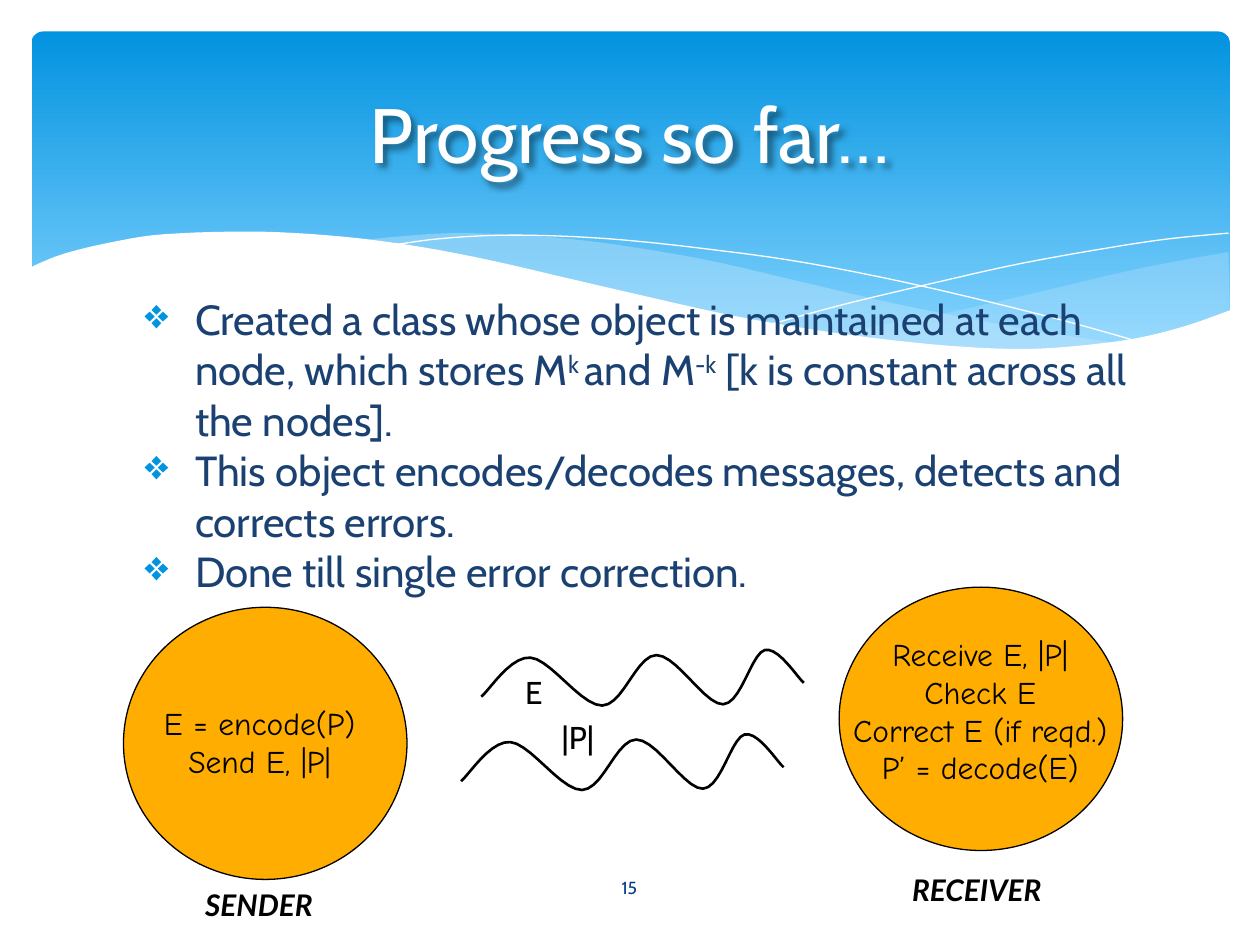
from dataclasses import dataclass

from lxml import etree
from pptx import Presentation
from pptx import util as u
from pptx.dml.color import RGBColor
from pptx.enum import shapes, text
from pptx.oxml import ns, parse_xml

PX = 9144  # EMU in one px, 100 px to the inch
STEPS = 10  # straight pieces between two curve points
LEFT, CENTER = text.PP_ALIGN.LEFT, text.PP_ALIGN.CENTER
TOP, MIDDLE = text.MSO_ANCHOR.TOP, text.MSO_ANCHOR.MIDDLE

TITLE = {"name": "Cabin", "size": u.Pt(44)}
BODY = {"name": "Cabin", "size": u.Pt(24)}
NUMBER = {"name": "Cabin", "size": u.Pt(10)}
SIGNAL = {"name": "Cabin", "size": u.Pt(18)}
STEP = {"name": "Comic Neue", "size": u.Pt(18)}
ROLE = {"name": "Lato", "size": u.Pt(17), "bold": True, "italic": True}

Point = tuple[float, float]
Box = tuple[int, int, int, int]


@dataclass
class Label:
    box: Box
    lines: list[str]
    font: dict
    color: str = "000000"
    align: text.PP_ALIGN = CENTER
    anchor: text.MSO_ANCHOR = TOP
    inset: int = 10


@dataclass
class Wave:
    """An outline of smooth edges; consecutive edges meet in a corner."""
    edges: list[list[Point]]
    fill: str = ""
    opacity: int = 100
    line: str = ""
    width: float = 0.75


WASHES = [
    Wave([[(975, 200), (935, 207), (891, 216), (832, 230), (753, 248), (661, 265)],
          [(661, 265), (705, 271), (757, 276), (803, 278), (854, 276), (897, 270),
           (935, 262), (976, 247)]], "C6E7FC", 29),
    Wave([[(893, 273), (837, 265), (775, 254), (706, 240), (629, 222), (569, 208),
           (514, 198), (465, 191), (420, 187), (361, 185), (313, 188), (286, 191)],
          [(286, 191), (342, 199), (404, 211), (449, 222), (530, 240), (618, 258),
           (695, 270), (761, 277), (818, 278), (857, 277), (893, 273)]], "C6E7FC", 40),
    Wave([[(309, 195), (344, 190), (387, 187), (433, 187), (489, 190), (556, 197),
           (636, 208), (727, 226), (831, 251), (907, 272)]], line="FFFFFF"),
    Wave([[(613, 257), (672, 241), (748, 223), (806, 210), (866, 199), (924, 190),
           (975, 185)]], line="FFFFFF"),
    Wave([[(977, 246), (940, 259), (899, 269), (850, 275), (809, 277), (761, 275),
           (708, 270), (648, 262), (579, 250), (503, 233), (447, 220), (391, 207),
           (340, 197), (292, 190), (250, 186), (211, 184), (177, 184), (146, 185),
           (119, 187), (95, 191), (67, 197), (46, 203), (29, 210), (23, 213)],
          [(23, 213), (23, 329)], [(23, 329), (977, 329)]], "FFFFFF"),
]

SIGNAL_CURVE = [(0, 37), (39, 6), (96, 44), (139, 4), (192, 43), (225, 0), (256, 26)]
SIGNAL_STARTS = [(382, 516), (366, 583)]

NODES: list[Box] = [(98, 482, 225, 216), (666, 466, 225, 209)]

LABELS = [
    Label((436, 684, 127, 40), ["15"], NUMBER, "073E87", anchor=MIDDLE, inset=5),
    Label((153, 694, 133, 49), ["SENDER"], ROLE, align=LEFT),
    Label((105, 549, 202, 81), ["E = encode(P)", "Send E, |P|"], STEP),
    Label((660, 494, 236, 141),
          ["Receive E, |P|", "Check E", "Correct E (if reqd.)", "P’ = decode(E)"], STEP),
    Label((436, 560, 66, 50), ["|P|"], SIGNAL, align=LEFT),
    Label((407, 524, 48, 50), ["E"], SIGNAL, align=LEFT),
    Label((714, 682, 147, 49), ["RECEIVER"], ROLE, align=LEFT),
]
HEADING = Label((50, 37, 900, 137), ["Progress so far…"], TITLE, "FFFFFF",
                anchor=MIDDLE, inset=5)

# Each bullet is split at "^"; every second piece is raised.
BULLETS = Label((95, 228, 810, 490), [
    "Created a class whose object is maintained at each node, which stores M"
    "^k ^and M^-k^ [k is constant across all the nodes].",
    "This object encodes/decodes messages, detects and corrects errors.",
    "Done till single error correction.",
], BODY, "1A4171", LEFT, inset=5)


def rgb(color: str) -> RGBColor:
    return RGBColor.from_string(color)


def emu(lengths) -> list[int]:
    return [round(n * PX) for n in lengths]


def add_sub(parent, tag: str, **attrs: str):
    return etree.SubElement(parent, ns.qn(tag), attrs)


def spline(pts: list[Point]) -> list[Point]:
    """Sample a Catmull-Rom curve through the points."""
    if len(pts) == 2:
        return pts
    padded = [pts[0], *pts, pts[-1]]
    out = [pts[0]]
    for a, b, c, d in zip(padded, padded[1:], padded[2:], padded[3:]):
        for t in (i / STEPS for i in range(1, STEPS + 1)):
            out.append(tuple(
                q + t / 2 * (r - p + t * (2 * p - 5 * q + 4 * r - s
                                          + t * (3 * (q - r) + s - p)))
                for p, q, r, s in zip(a, b, c, d)))
    return out


def paint(sp, fill: str, line: str, width: float) -> None:
    sp.shadow.inherit = False
    if fill:
        sp.fill.solid()
        sp.fill.fore_color.rgb = rgb(fill)
    else:
        sp.fill.background()
    if line:
        sp.line.color.rgb = rgb(line)
        sp.line.width = u.Pt(width)
    else:
        sp.line.fill.background()


def draw_wave(slide, wave: Wave) -> None:
    pts = [emu(pt) for edge in wave.edges for pt in spline(edge)]
    builder = slide.shapes.build_freeform(*pts[0], scale=1.0)
    builder.add_line_segments(pts[1:], close=bool(wave.fill))
    sp = builder.convert_to_shape()
    paint(sp, wave.fill, wave.line, wave.width)
    if wave.opacity < 100:
        color = sp.fill._xPr.find(ns.qn("a:solidFill"))[0]
        add_sub(color, "a:alpha", val=str(wave.opacity * 1000))


def draw_banner(slide) -> None:
    sp = slide.shapes.add_shape(shapes.MSO_SHAPE.ROUNDED_RECTANGLE, *emu((25, 25, 951, 270)))
    sp.adjustments[0] = 0.034
    paint(sp, "", "", 0)
    sp.fill.gradient()
    sp.fill.gradient_angle = 270
    for stop, color, position in zip(sp.fill.gradient_stops, ("0293E0", "81D2FE"), (0, 0.9)):
        stop.color.rgb = rgb(color)
        stop.position = position


def draw_node(slide, box: Box) -> None:
    sp = slide.shapes.add_shape(shapes.MSO_SHAPE.OVAL, *emu(box))
    paint(sp, "FFAD00", "000000", 0.75)


def draw_label(slide, label: Label):
    sp = slide.shapes.add_textbox(*emu(label.box))
    tf = sp.text_frame
    frame = {"word_wrap": True, "vertical_anchor": label.anchor, "margin_left": 10 * PX,
             "margin_right": 10 * PX, "margin_top": label.inset * PX,
             "margin_bottom": label.inset * PX}
    for key, value in frame.items():
        setattr(tf, key, value)
    for i, line in enumerate(label.lines):
        p = tf.add_paragraph() if i else tf.paragraphs[0]
        p.alignment = label.align
        for j, piece in enumerate(line.split("^")):
            r = p.add_run()
            r.text = piece
            for key, value in label.font.items():
                setattr(r.font, key, value)
            r.font.color.rgb = rgb(label.color)
            if j % 2:
                r.font._element.set("baseline", "30000")
    return sp


def add_bullets(sp) -> None:
    sp.text_frame.paragraphs[0].space_before = u.Pt(3.6)
    for p in sp.text_frame.paragraphs:
        props = p._p.get_or_add_pPr()
        props.set("marL", str(50 * PX))
        props.set("indent", str(-40 * PX))
        add_sub(add_sub(props, "a:buClr"), "a:srgbClr", val="0293E0")
        add_sub(props, "a:buChar", char="❖")


def add_soft_shadow(sp) -> None:
    sp._element.spPr.append(parse_xml(
        f'<a:effectLst {ns.nsdecls("a")}><a:outerShdw blurRad="50800" dist="38100" '
        'dir="2700000"><a:srgbClr val="000000"><a:alpha val="45000"/></a:srgbClr>'
        '</a:outerShdw></a:effectLst>'))


def main() -> None:
    prs = Presentation()
    prs.slide_width, prs.slide_height = emu((1000, 750))
    slide = prs.slides.add_slide(prs.slide_layouts[6])
    draw_banner(slide)
    for wave in WASHES:
        draw_wave(slide, wave)
    add_soft_shadow(draw_label(slide, HEADING))
    add_bullets(draw_label(slide, BULLETS))
    for box in NODES:
        draw_node(slide, box)
    for x, y in SIGNAL_STARTS:
        curve = [(x + dx, y + dy) for dx, dy in SIGNAL_CURVE]
        draw_wave(slide, Wave([curve], line="000000", width=1.5))
    for label in LABELS:
        draw_label(slide, label)
    prs.save("out.pptx")


if __name__ == "__main__":
    main()
